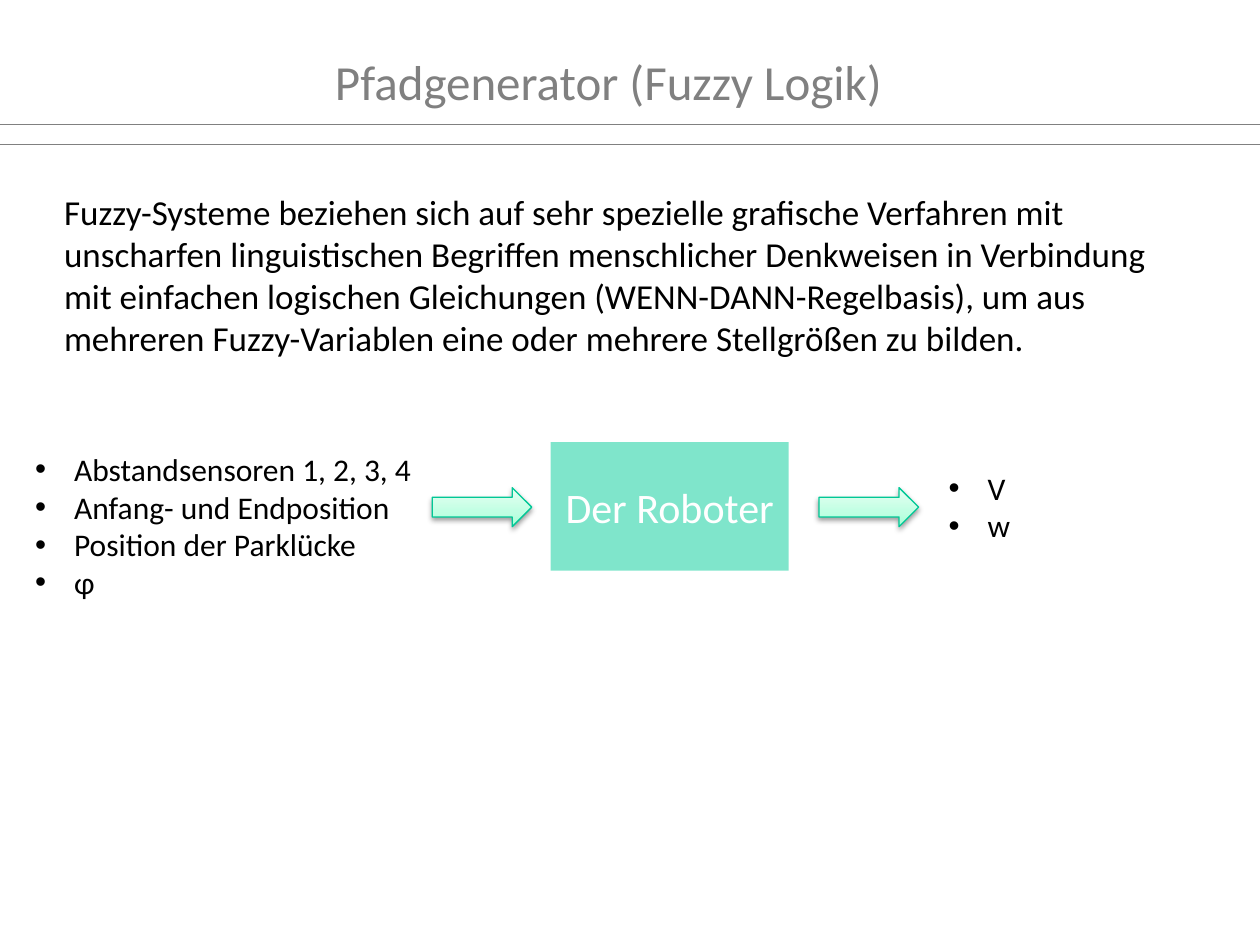
from dataclasses import dataclass

from lxml import etree
from pptx import Presentation
from pptx.dml.color import RGBColor
from pptx.enum.shapes import MSO_CONNECTOR, MSO_SHAPE
from pptx.enum.text import MSO_ANCHOR, MSO_AUTO_SIZE, PP_ALIGN
from pptx.oxml.ns import qn
from pptx.util import Inches, Pt

STRAIGHT = MSO_CONNECTOR.STRAIGHT
RECTANGLE, RIGHT_ARROW = MSO_SHAPE.RECTANGLE, MSO_SHAPE.RIGHT_ARROW
MIDDLE, CENTER = MSO_ANCHOR.MIDDLE, PP_ALIGN.CENTER
GROW = MSO_AUTO_SIZE.SHAPE_TO_FIT_TEXT


@dataclass(frozen=True)
class Theme:
    """Colours and type sizes of the slide."""
    font: str = "Calibri"
    grey: str = "808080"
    black: str = "000000"
    white: str = "FFFFFF"
    green: str = "00CC99"
    arrow_line: str = "00C896"
    arrow_stops: tuple = ((0, "A5FFD6"), (35, "BFFFE2"), (100, "E7FFF3"))
    title: int = 28
    block: int = 24
    body: int = 20
    item: int = 18


THEME = Theme()
SLIDE_WIDTH = 10
RULE_TOPS = (0.99, 1.15)
INTRO = (
    "Fuzzy-Systeme beziehen sich auf sehr spezielle grafische Verfahren mit "
    "unscharfen linguistischen Begriffen menschlicher Denkweisen in Verbindung "
    "mit einfachen logischen Gleichungen (WENN-DANN-Regelbasis), um aus "
    "mehreren Fuzzy-Variablen eine oder mehrere Stellgrößen zu bilden."
)
INPUTS = ("Abstandsensoren 1, 2, 3, 4", "Anfang- und Endposition",
          "Position der Parklücke", "ɸ")
OUTPUTS = ("V", "w")


def lengths(box):
    """Turn a box of left, top, width and height into lengths."""
    return [Inches(value) for value in box]


def add_child(parent, tag, **attributes):
    """Append a DrawingML element and return it."""
    child = etree.SubElement(parent, qn(tag))
    for name, value in attributes.items():
        child.set(name, str(value))
    return child


def add_span(para, text, size, color):
    """Add one formatted run to a paragraph."""
    span = para.add_run()
    span.text = text
    span.font.name = THEME.font
    span.font.size = Pt(size)
    span.font.color.rgb = RGBColor.from_string(color)


def add_text(page, box, lines, size, color):
    """Place a wrapping text box with one paragraph per line."""
    frame = page.shapes.add_textbox(*lengths(box)).text_frame
    frame.word_wrap = True
    frame.auto_size = GROW
    for index, line in enumerate(lines):
        para = frame.add_paragraph() if index else frame.paragraphs[0]
        add_span(para, line, size, color)
    return frame


def add_bullets(page, box, items, margin, level=0):
    """Place a bulleted list with a hanging indent."""
    frame = add_text(page, box, items, THEME.item, THEME.black)
    for para in frame.paragraphs:
        para.level = level
        properties = para._p.get_or_add_pPr()
        properties.set("marL", str(Inches(margin)))
        properties.set("indent", str(Inches(-0.31)))
        color = add_child(properties, "a:buClr")
        add_child(color, "a:srgbClr", val=THEME.black)
        add_child(properties, "a:buFont", typeface="Arial")
        add_child(properties, "a:buChar", char="•")


def add_header(page, box):
    """Place the title and the two rules below it."""
    for top in RULE_TOPS:
        rule = page.shapes.add_connector(
            STRAIGHT, 0, Inches(top), Inches(SLIDE_WIDTH), Inches(top))
        rule.line.color.rgb = RGBColor.from_string(THEME.grey)
        rule.line.width = Pt(0.5)
        add_child(rule._element.spPr, "a:effectLst")
    add_text(page, box, ["Pfadgenerator (Fuzzy Logik)"], THEME.title, THEME.grey)


def add_robot(page, box):
    """Place the half-transparent robot block."""
    block = page.shapes.add_shape(RECTANGLE, *lengths(box))
    block.shadow.inherit = False
    block.fill.solid()
    block.fill.fore_color.rgb = RGBColor.from_string(THEME.green)
    color = block._element.spPr.find(qn("a:solidFill")).find(qn("a:srgbClr"))
    add_child(color, "a:alpha", val=50000)
    block.line.fill.background()
    frame = block.text_frame
    frame.word_wrap = True
    frame.vertical_anchor = MIDDLE
    para = frame.paragraphs[0]
    para.alignment = CENTER
    add_span(para, "Der Roboter", THEME.block, THEME.white)


def add_flow_arrow(page, box):
    """Place a gradient arrow with a soft shadow below it."""
    arrow = page.shapes.add_shape(RIGHT_ARROW, *lengths(box))
    arrow.fill.gradient()
    arrow.fill.gradient_angle = 90
    properties = arrow._element.spPr
    stops = properties.find(qn("a:gradFill")).find(qn("a:gsLst"))
    for stop in list(stops):
        stops.remove(stop)
    for position, color in THEME.arrow_stops:
        stop = add_child(stops, "a:gs", pos=position * 1000)
        add_child(stop, "a:srgbClr", val=color)
    arrow.line.color.rgb = RGBColor.from_string(THEME.arrow_line)
    arrow.line.width = Pt(0.75)
    arrow.shadow.inherit = False
    shadow = add_child(properties.find(qn("a:effectLst")), "a:outerShdw",
                       blurRad=Pt(3.1), dist=Pt(1.6), dir=5400000, rotWithShape=0)
    color = add_child(shadow, "a:srgbClr", val=THEME.black)
    add_child(color, "a:alpha", val=38000)


def add_flow(page, box):
    """Place inputs, robot and outputs from left to right."""
    left, top, width, height = box
    add_robot(page, (left + 4.69, top, 1.89, 1.02))
    add_bullets(page, (left, top + 0.01, 4.18, height - 0.01), INPUTS, 0.81, level=1)
    for offset in (3.75, 6.82):
        add_flow_arrow(page, (left + offset, top + 0.36, 0.79, 0.31))
    add_bullets(page, (left + width - 2.56, top + 0.16, 2.56, 1.01), OUTPUTS, 0.31)


def main():
    """Build the slide and save it."""
    deck = Presentation()
    deck.slide_width, deck.slide_height = Inches(SLIDE_WIDTH), Inches(7.5)
    page = deck.slides.add_slide(deck.slide_layouts[6])
    add_header(page, (2.56, 0.36, 4.72, 0.57))
    add_text(page, (0.41, 1.46, 9.19, 1.45), [INTRO], THEME.body, THEME.black)
    add_flow(page, (-0.32, 3.51, 10.31, 1.62))
    deck.save("out.pptx")


if __name__ == "__main__":
    main()
